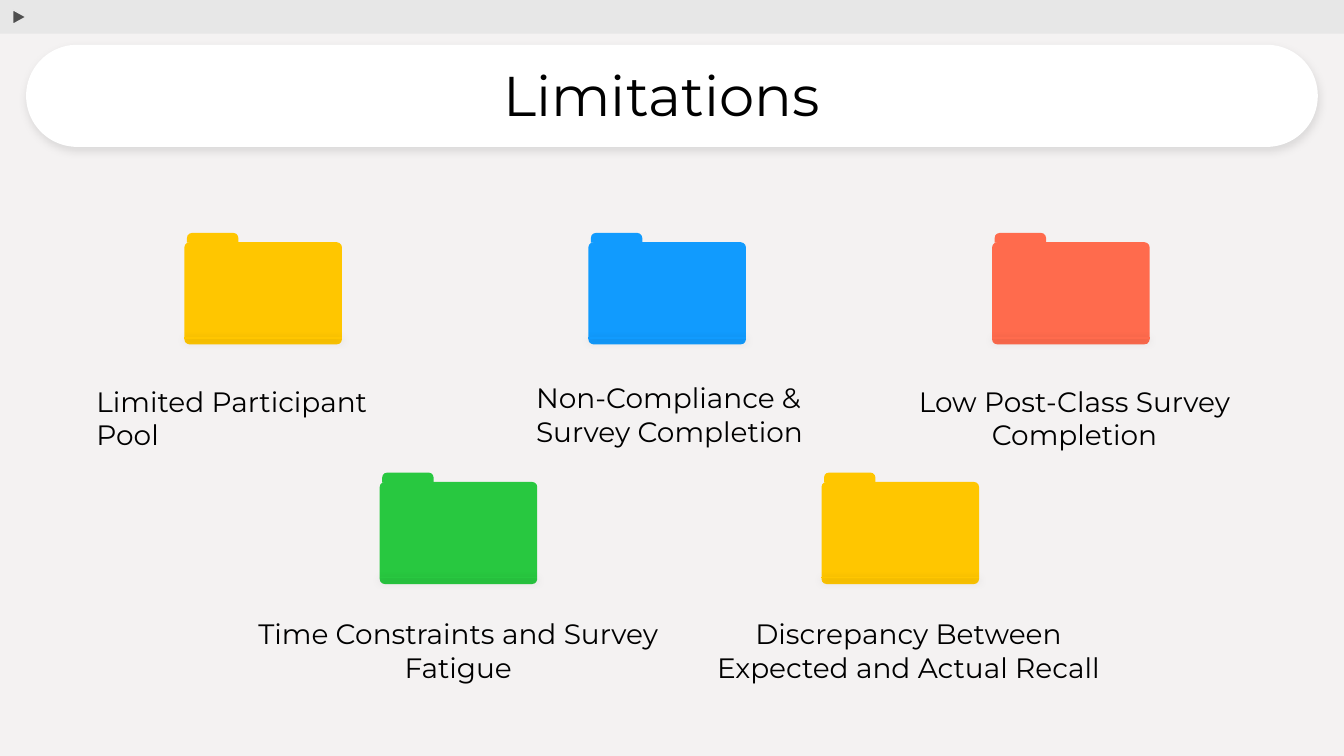
from lxml.etree import SubElement
from pptx import Presentation
from pptx.dml.color import RGBColor
from pptx.enum.shapes import MSO_CONNECTOR as Link, MSO_SHAPE as Kind
from pptx.enum.text import MSO_ANCHOR as Anchor, PP_ALIGN as Align
from pptx.oxml.ns import qn
from pptx.util import Pt

PAPER = RGBColor(0xF4, 0xF2, 0xF2)
BAR = RGBColor(0xE7, 0xE7, 0xE7)
ARROW = RGBColor(0x4F, 0x4F, 0x4F)
YELLOW = RGBColor(0xFF, 0xC6, 0x00)
BLUE = RGBColor(0x11, 0x9B, 0xFE)
RED = RGBColor(0xFF, 0x6B, 0x4D)
GREEN = RGBColor(0x28, 0xC8, 0x40)
WHITE = RGBColor(0xFF, 0xFF, 0xFF)
BLACK = RGBColor(0x00, 0x00, 0x00)


def draw(shapes, kind, x, y, w, h, color, *bends):
    shape = shapes.add_shape(kind, Pt(x), Pt(y), Pt(w), Pt(h))
    shape.fill.solid()
    shape.fill.fore_color.rgb = color
    shape.line.fill.background()
    shape.shadow.inherit = False
    for i, bend in enumerate(bends):
        shape.adjustments[i] = bend
    return shape


def shade(shape, alpha):
    props = shape._element.spPr
    effects = props.find(qn("a:effectLst"))
    if effects is None:
        effects = SubElement(props, qn("a:effectLst"))
    outer = SubElement(effects, qn("a:outerShdw"), blurRad=str(Pt(4.5)),
                       dist=str(Pt(1.5)), dir="5400000", algn="bl", rotWithShape="0")
    tone = SubElement(outer, qn("a:srgbClr"), val="000000")
    SubElement(tone, qn("a:alpha"), val=str(alpha * 1000))


deck = Presentation()
deck.slide_width, deck.slide_height = Pt(720), Pt(405)
slide = deck.slides.add_slide(deck.slide_layouts[6])
slide.background.fill.solid()
slide.background.fill.fore_color.rgb = PAPER

draw(slide.shapes, Kind.RECTANGLE, 0, 0, 720, 18, BAR)
play = draw(slide.shapes, Kind.ISOSCELES_TRIANGLE, 6.5, 5.5, 7.9, 7.2, ARROW, 0.5)
play.rotation = 90
play.line.color.rgb = BAR
play.line.width = Pt(0.75)

folders = [
    (98.8, 124.8, YELLOW),
    (315.2, 124.8, BLUE),
    (531.5, 124.8, RED),
    (203.4, 253.2, GREEN),
    (440.1, 253.2, YELLOW),
]
for x, y, color in folders:
    group = slide.shapes.add_group_shape().shapes
    draw(group, Kind.ROUND_2_SAME_RECTANGLE, x + 1.4, y, 27.5, 5.2, color, 0.5, 0)
    draw(group, Kind.ROUNDED_RECTANGLE, x, y + 5, 84.4, 54.7, color, 0.05)
    edge = group.add_connector(Link.STRAIGHT, Pt(x), Pt(y + 56.2), Pt(x + 84.4), Pt(y + 56.2))
    edge.line.color.rgb = color
    edge.line.width = Pt(0.75)
    shade(edge, 30)

pill = draw(slide.shapes, Kind.ROUNDED_RECTANGLE, 14, 24, 692, 54.7, WHITE, 0.5)
shade(pill, 10)

labels = [
    ("Limited Participant Pool", 44.6, 198.7, 193, 51, 15, Align.LEFT),
    ("Non-Compliance & Survey Completion", 280.1, 196.6, 160, 51, 15, Align.LEFT),
    ("Low Post-Class Survey Completion", 482.4, 198.7, 186.5, 51, 15, Align.CENTER),
    ("Time Constraints and Survey Fatigue", 127.4, 323.3, 236.2, 51, 15, Align.CENTER),
    ("Discrepancy Between Expected and Actual Recall", 368.6, 323.3, 236.2, 51, 15, Align.CENTER),
    ("Limitations", 42.5, 29.5, 624.2, 47.5, 30, Align.CENTER),
]
for text, x, y, w, h, size, align in labels:
    frame = slide.shapes.add_textbox(Pt(x), Pt(y), Pt(w), Pt(h)).text_frame
    frame.word_wrap = True
    frame.vertical_anchor = Anchor.TOP
    frame.margin_left = frame.margin_right = Pt(7.2)
    frame.margin_top = frame.margin_bottom = Pt(7.2)
    frame.text = text
    line = frame.paragraphs[0]
    line.alignment = align
    if size == 30:
        line.line_spacing = 0.9
    font = line.runs[0].font
    font.name = "Montserrat"
    font.size = Pt(size)
    font.color.rgb = BLACK

deck.save("out.pptx")
